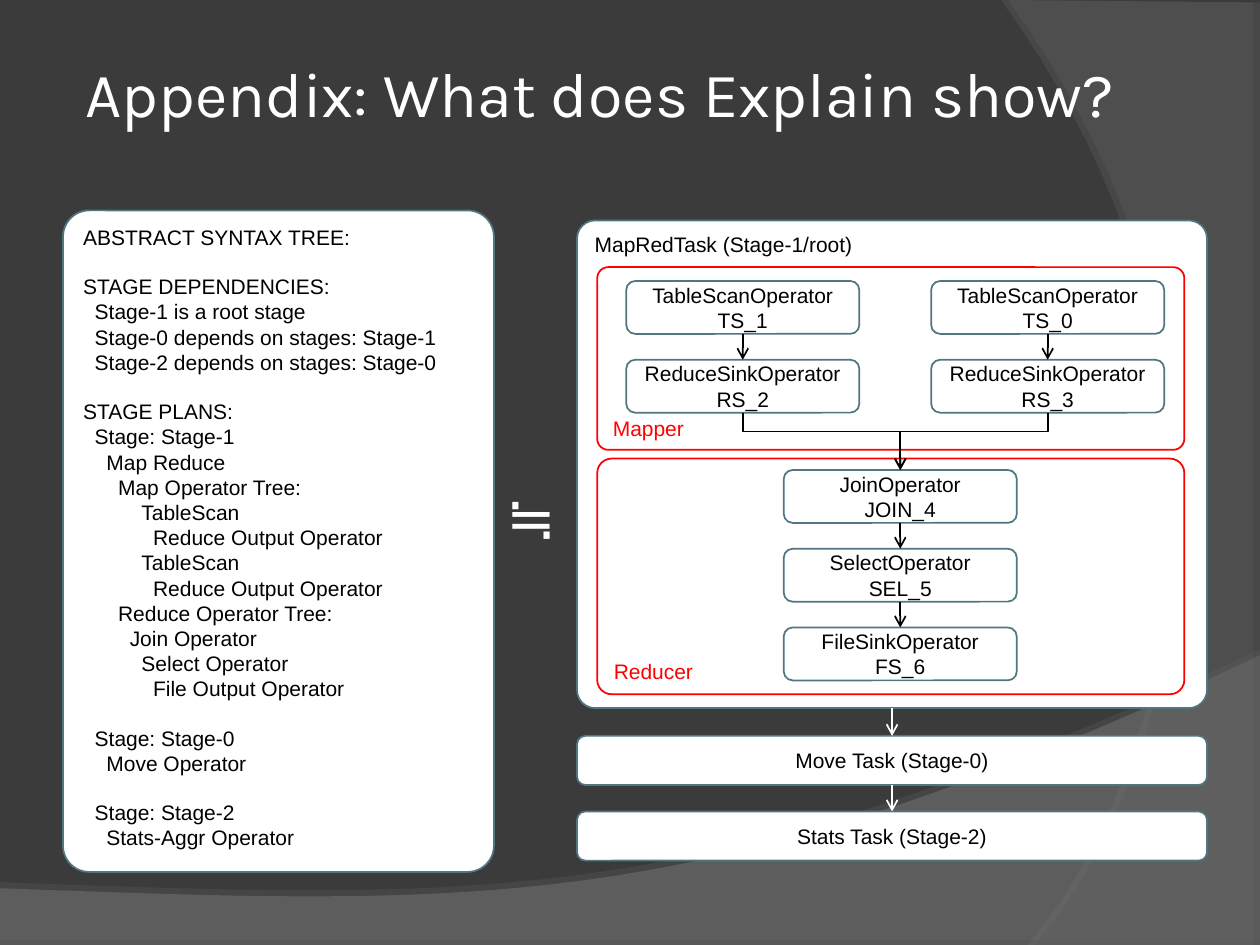
from lxml.etree import SubElement
from pptx import Presentation
from pptx.dml.color import RGBColor
from pptx.enum.shapes import MSO_CONNECTOR, MSO_SHAPE
from pptx.enum.text import MSO_ANCHOR, MSO_AUTO_SIZE, PP_ALIGN
from pptx.oxml.ns import qn
from pptx.util import Inches, Pt

BACKDROP = RGBColor(0x3B, 0x3B, 0x3B)
LOWER_WAVE = RGBColor(0x7C, 0x7C, 0x7C)
SIDE_WAVE = RGBColor(0x59, 0x59, 0x59)
WHITE = RGBColor(0xFF, 0xFF, 0xFF)
BLACK = RGBColor(0, 0, 0)
RED = RGBColor(0xFF, 0, 0)
TEAL = RGBColor(0x51, 0x76, 0x82)

LABEL_FONT = {"name": "Arial", "size": Pt(12)}
LINE_HEIGHT = Pt(13.8)
INDENT_STEP = Pt(6.67)
OPERATOR_WIDTH, OPERATOR_HEIGHT, OPERATOR_PITCH = 1.85, 0.42, 0.625
TASK_LEFT, TASK_WIDTH, TASK_HEIGHT = 4.58, 5, 0.39
PHASE_LEFT, PHASE_WIDTH = 4.74, 4.66

EXPLAIN_SECTIONS = [
    [(0, "ABSTRACT SYNTAX TREE:")],
    [(0, "STAGE DEPENDENCIES:"),
     (1, "Stage-1 is a root stage"),
     (1, "Stage-0 depends on stages: Stage-1"),
     (1, "Stage-2 depends on stages: Stage-0")],
    [(0, "STAGE PLANS:"),
     (1, "Stage: Stage-1"),
     (2, "Map Reduce"),
     (3, "Map Operator Tree:"),
     (5, "TableScan"),
     (6, "Reduce Output Operator"),
     (5, "TableScan"),
     (6, "Reduce Output Operator"),
     (3, "Reduce Operator Tree:"),
     (4, "Join Operator"),
     (5, "Select Operator"),
     (6, "File Output Operator")],
    [(1, "Stage: Stage-0"), (2, "Move Operator")],
    [(1, "Stage: Stage-2"), (2, "Stats-Aggr Operator")],
]
MAPPER_CHAINS = [
    (4.97, [("TableScanOperator", "TS_1"), ("ReduceSinkOperator", "RS_2")]),
    (7.39, [("TableScanOperator", "TS_0"), ("ReduceSinkOperator", "RS_3")]),
]
REDUCER_CHAIN = [("JoinOperator", "JOIN_4"), ("SelectOperator", "SEL_5"),
                 ("FileSinkOperator", "FS_6")]


def apply_format(target, values):
    """Set each named attribute on the target."""
    for name, value in values.items():
        setattr(target, name, value)


def write_paragraph(paragraph, text, color, align=PP_ALIGN.LEFT, **font_values):
    """Write one formatted paragraph."""
    paragraph.text = text
    paragraph.alignment = align
    apply_format(paragraph.font, {**LABEL_FONT, **font_values})
    paragraph.font.color.rgb = color


def curve_points(start, first, second, end, steps=40):
    """Return points along a cubic curve, without its start."""
    points = []
    for step in range(1, steps + 1):
        t = step / steps
        weights = ((1 - t) ** 3, 3 * t * (1 - t) ** 2, 3 * t * t * (1 - t), t ** 3)
        points.append(tuple(
            sum(w * p[axis] for w, p in zip(weights, (start, first, second, end)))
            for axis in (0, 1)))
    return points


def add_wave(slide, outline, color, opacity, shadow):
    """Add a translucent shadowed outline to the slide's master."""
    points = [(Inches(x), Inches(y)) for x, y in outline]
    builder = slide.shapes.build_freeform(*points[0], scale=1.0)
    builder.add_line_segments(points[1:], close=True)
    wave = builder.convert_to_shape()
    wave.fill.solid()
    wave.fill.fore_color.rgb = color
    wave.line.fill.background()
    properties = wave._element.spPr
    fill_color = properties.find(".//" + qn("a:srgbClr"))
    SubElement(fill_color, qn("a:alpha"), val=str(opacity * 1000))
    shadow_opacity, distance, direction = shadow
    effects = SubElement(properties, qn("a:effectLst"))
    outer = SubElement(effects, qn("a:outerShdw"), blurRad="0", dist=str(Pt(distance)),
                       dir=str(direction * 60000), algn="ctr", rotWithShape="0")
    shadow_color = SubElement(outer, qn("a:srgbClr"), val="808080")
    SubElement(shadow_color, qn("a:alpha"), val=str(shadow_opacity * 1000))
    return wave


def add_backdrop(slide):
    """Colour the master and place its two waves behind everything."""
    master = slide.slide_layout.slide_master
    master.background.fill.solid()
    master.background.fill.fore_color.rgb = BACKDROP
    lower = [(0, 7.05), (0, 7.51), (10, 7.51), (10, 5.2)]
    lower += curve_points((10, 5.2), (5.59, 7.29), (3.91, 7.19), (0, 7.05))
    side = [(10, 0.02), (10, 7.5), (8.21, 7.5)]
    side += curve_points((8.21, 7.5), (9.35, 6.19), (10.18, 3), (8, 0))
    waves = [add_wave(slide, lower, LOWER_WAVE, 45, (35, 3.5, 270)),
             add_wave(slide, side, SIDE_WAVE, 40, (45, 4, 180))]
    for position, wave in enumerate(waves, start=2):
        master.shapes._spTree.insert(position, wave._element)


def add_box(slide, left, top, width, height, lines=(), outline=TEAL, color=BLACK,
            anchor=MSO_ANCHOR.MIDDLE, align=PP_ALIGN.CENTER, corner=0.17):
    """Add a white rounded box with its lines of text."""
    box = slide.shapes.add_shape(MSO_SHAPE.ROUNDED_RECTANGLE, Inches(left), Inches(top),
                                 Inches(width), Inches(height))
    box.shadow.inherit = False
    box.adjustments[0] = corner
    box.fill.solid()
    box.fill.fore_color.rgb = WHITE
    box.line.color.rgb = outline
    box.line.width = Pt(1)
    frame = box.text_frame
    apply_format(frame, {"word_wrap": True, "vertical_anchor": anchor})
    for index, text in enumerate(lines):
        paragraph = frame.add_paragraph() if index else frame.paragraphs[0]
        write_paragraph(paragraph, text, color, align)
    return box


def add_explain_output(slide):
    """Add the indented plan listing."""
    lines = [line for section in EXPLAIN_SECTIONS for _, line in section]
    output = add_box(slide, 0.5, 1.67, 3.42, 5.25, lines, anchor=MSO_ANCHOR.TOP,
                     align=PP_ALIGN.LEFT, corner=0.061)
    paragraphs = iter(output.text_frame.paragraphs)
    for number, section in enumerate(EXPLAIN_SECTIONS):
        for row, (depth, _) in enumerate(section):
            paragraph = next(paragraphs)
            paragraph._p.get_or_add_pPr().set("marL", str(depth * INDENT_STEP))
            if number and not row:
                paragraph.space_before = LINE_HEIGHT


def style_arrow(arrow, color):
    """Give a connector its colour, width and open arrowhead."""
    arrow.line.color.rgb = color
    arrow.line.width = Pt(1)
    properties = arrow._element.spPr
    SubElement(properties.get_or_add_ln(), qn("a:tailEnd"), type="arrow")
    SubElement(properties, qn("a:effectLst"))


def join_down(slide, upper, lower, color=BLACK):
    """Join the bottom of one box to the top of the next."""
    arrow = slide.shapes.add_connector(MSO_CONNECTOR.STRAIGHT, 0, 0, 0, 0)
    arrow.begin_connect(upper, 2)
    arrow.end_connect(lower, 0)
    style_arrow(arrow, color)


def bend_down(slide, upper, lower):
    """Draw an elbow arrow from one box's bottom to another's top."""
    start_x, start_y = upper.left + upper.width // 2, upper.top + upper.height
    end_x, end_y = lower.left + lower.width // 2, lower.top
    rise, run = end_y - start_y, abs(end_x - start_x)
    left = (start_x + end_x - rise) // 2
    top = (start_y + end_y - run) // 2
    rightward = end_x > start_x
    near, far = (left + rise, left) if rightward else (left, left + rise)
    elbow = slide.shapes.add_connector(MSO_CONNECTOR.ELBOW, near, top, far, top + run)
    properties = elbow._element.spPr
    properties.find(qn("a:xfrm")).set("rot", str((270 if rightward else 90) * 60000))
    guides = properties.find(qn("a:prstGeom")).find(qn("a:avLst"))
    SubElement(guides, qn("a:gd"), name="adj1", fmla="val 32800")
    style_arrow(elbow, BLACK)


def add_chain(slide, left, top, operators):
    """Stack operators at an equal pitch and join them in order."""
    chain = [add_box(slide, left, top + row * OPERATOR_PITCH, OPERATOR_WIDTH,
                     OPERATOR_HEIGHT, lines) for row, lines in enumerate(operators)]
    for upper, lower in zip(chain, chain[1:]):
        join_down(slide, upper, lower)
    return chain


def add_phase(slide, top, height, label):
    """Add a red panel for one phase of the job."""
    add_box(slide, PHASE_LEFT, top, PHASE_WIDTH, height, [label], RED, RED,
            MSO_ANCHOR.BOTTOM, PP_ALIGN.LEFT, 0.061)


def add_tasks(slide):
    """Add the root task with its operators and the tasks after it."""
    root = add_box(slide, TASK_LEFT, 1.75, TASK_WIDTH, 3.87, ["MapRedTask (Stage-1/root)"],
                   anchor=MSO_ANCHOR.TOP, align=PP_ALIGN.LEFT, corner=0.037)
    add_phase(slide, 2.12, 1.45, "Mapper")
    sinks = [add_chain(slide, left, 2.23, operators)[-1] for left, operators in MAPPER_CHAINS]
    add_phase(slide, 3.64, 1.87, "Reducer")
    join = add_chain(slide, 6.22, 3.73, REDUCER_CHAIN)[0]
    for sink in sinks:
        bend_down(slide, sink, join)
    move, stats = [add_box(slide, TASK_LEFT, top, TASK_WIDTH, TASK_HEIGHT, [label])
                   for top, label in ((5.84, "Move Task (Stage-0)"), (6.44, "Stats Task (Stage-2)"))]
    join_down(slide, root, move, WHITE)
    join_down(slide, move, stats, WHITE)


def add_heading(slide):
    """Place and format the title."""
    heading = slide.shapes.title
    apply_format(heading, {"left": Inches(0.63), "top": Inches(0.36),
                           "width": Inches(8.75), "height": Inches(0.74)})
    margins = {f"margin_{side}": Inches(0.05) for side in ("left", "top", "right", "bottom")}
    apply_format(heading.text_frame, {**margins, "vertical_anchor": MSO_ANCHOR.MIDDLE,
                                      "auto_size": MSO_AUTO_SIZE.NONE})
    write_paragraph(heading.text_frame.paragraphs[0], "Appendix: What does Explain show?",
                    WHITE, name="Karla", size=Pt(36))


def add_equivalence(slide):
    """Add the sign between the listing and the tasks."""
    sign = slide.shapes.add_textbox(Inches(3.92), Inches(3.76), Inches(0.68), Inches(0.67))
    apply_format(sign.text_frame, {"word_wrap": False,
                                   "auto_size": MSO_AUTO_SIZE.SHAPE_TO_FIT_TEXT})
    write_paragraph(sign.text_frame.paragraphs[0], "≒", WHITE, size=Pt(34))


def main():
    """Build the slide and save it."""
    deck = Presentation()
    apply_format(deck, {"slide_width": Inches(10), "slide_height": Inches(7.5)})
    slide = deck.slides.add_slide(deck.slide_layouts[5])
    add_backdrop(slide)
    add_heading(slide)
    add_explain_output(slide)
    add_tasks(slide)
    add_equivalence(slide)
    deck.save("out.pptx")


if __name__ == "__main__":
    main()
